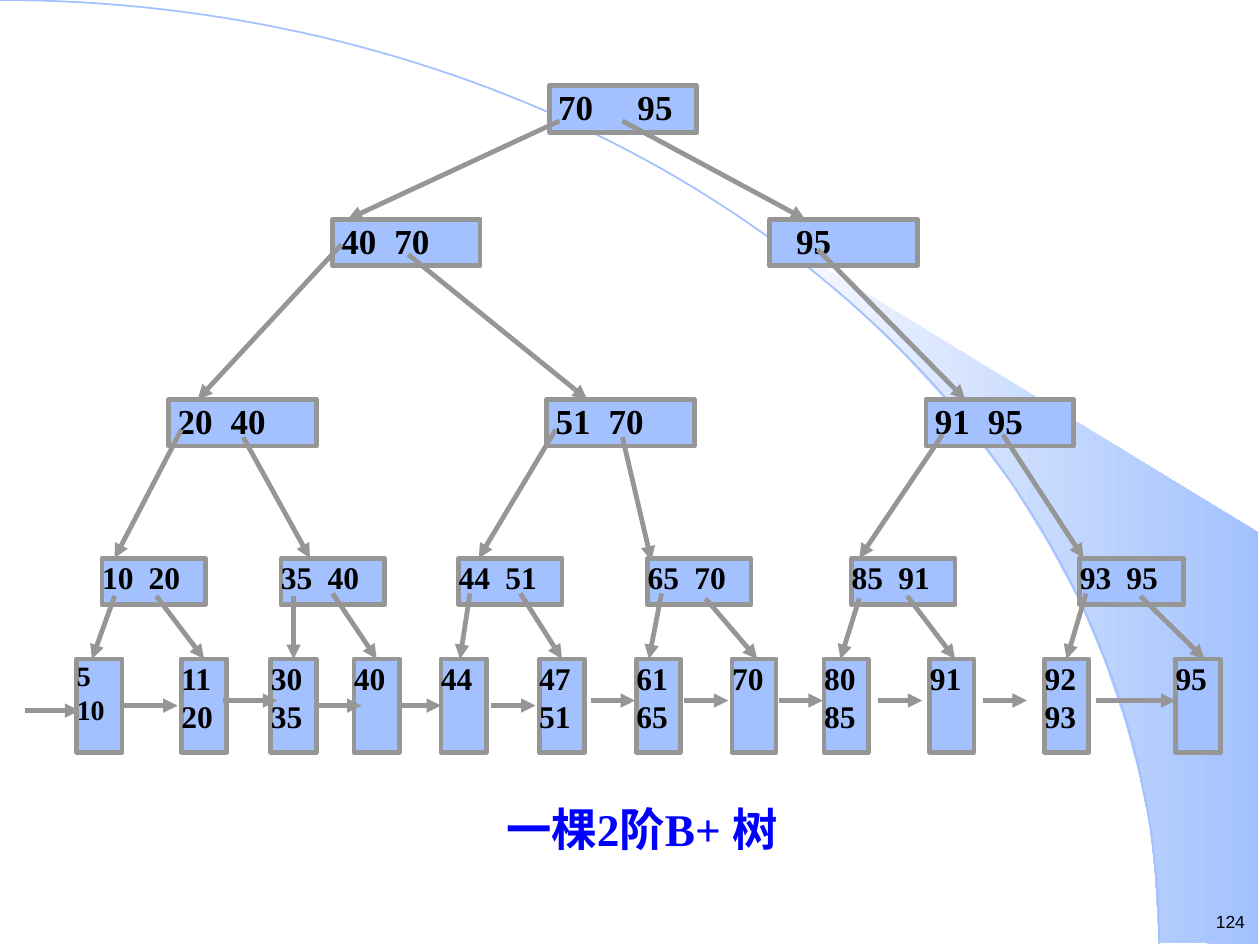
from dataclasses import dataclass
from math import cos, pi, sin

from lxml.etree import SubElement as Sub
from pptx import Presentation
from pptx.dml.color import RGBColor as Rgb
from pptx.enum.shapes import MSO_CONNECTOR as Conn, MSO_SHAPE as Kind
from pptx.enum.text import MSO_ANCHOR as Anchor, PP_ALIGN as Align
from pptx.oxml.ns import qn
from pptx.util import Pt

SCALE = 9144
NEAR = 2


@dataclass(frozen=True)
class Theme:
    fill: str = "A2C1FE"
    edge: str = "969696"
    ink: str = "000000"
    blue: str = "0000FF"
    white: str = "FFFFFF"
    serif: str = "Times New Roman"
    sans: str = "Arial"
    line: float = 2.75
    thin: float = 1
    big: float = 20
    mid: float = 18
    small: float = 16
    title: float = 25.9
    page: float = 10


def px(num):
    return round(num * SCALE)


class Deck:
    def __init__(self, theme, wide, high):
        self.theme = theme
        self.deck = Presentation()
        self.deck.slide_width = px(wide)
        self.deck.slide_height = px(high)
        self.slide = self.deck.slides.add_slide(self.deck.slide_layouts[6])
        self.shapes = self.slide.shapes
        self.sites = []

    def stroke(self, line, color, width):
        line.color.rgb = Rgb.from_string(color)
        line.width = Pt(width)

    def letter(self, shape, rows, size, font, color, align,
               bold=True, pad=(0, 0), tab=0):
        frame = shape.text_frame
        frame.word_wrap = True
        frame.vertical_anchor = Anchor.TOP
        frame.margin_left, frame.margin_top = px(pad[0]), px(pad[1])
        frame.margin_right, frame.margin_bottom = px(pad[0]), px(pad[1])
        for i, row in enumerate(rows):
            para = frame.add_paragraph() if i else frame.paragraphs[0]
            para.alignment = align
            if tab:
                tabs = Sub(para._p.get_or_add_pPr(), qn("a:tabLst"))
                Sub(tabs, qn("a:tab"), pos=str(px(tab)), algn="l")
            run = para.add_run()
            run.text = row
            run.font.name = font
            run.font.size = Pt(size)
            run.font.bold = bold
            run.font.color.rgb = Rgb.from_string(color)

    def label(self, x, y, w, h, text, size, font, color, align, **more):
        box = self.shapes.add_textbox(px(x), px(y), px(w), px(h))
        self.letter(box, [text], size, font, color, align, **more)
        return box

    def node(self, x, y, w, h, rows, size, pad=0, tab=0):
        t = self.theme
        box = self.shapes.add_shape(Kind.RECTANGLE, px(x), px(y), px(w), px(h))
        box.shadow.inherit = False
        box.fill.solid()
        box.fill.fore_color.rgb = Rgb.from_string(t.fill)
        self.stroke(box.line, t.edge, t.line)
        self.letter(box, rows, size, t.serif, t.ink, Align.JUSTIFY,
                    pad=(pad, 0), tab=tab)
        spots = ((x + w / 2, y), (x, y + h / 2),
                 (x + w / 2, y + h), (x + w, y + h / 2))
        self.sites += [(box, i, *spot) for i, spot in enumerate(spots)]

    def join(self, link, x, y):
        for box, i, left, top in self.sites:
            if abs(left - x) <= NEAR and abs(top - y) <= NEAR:
                link(box, i)
                return

    def arrow(self, x, y, to_x, to_y):
        t = self.theme
        line = self.shapes.add_connector(
            Conn.STRAIGHT, px(x), px(y), px(to_x), px(to_y))
        self.stroke(line.line, t.edge, t.line)
        Sub(line.line._get_or_add_ln(), qn("a:tailEnd"), type="triangle")
        Sub(line._element.spPr, qn("a:effectLst"))
        self.join(line.begin_connect, x, y)
        self.join(line.end_connect, to_x, to_y)

    def outline(self, dots, close):
        dots = [(px(x), px(y)) for x, y in dots]
        pen = self.shapes.build_freeform(*dots[0], scale=1.0)
        pen.add_line_segments(dots[1:], close=close)
        shape = pen.convert_to_shape()
        shape.shadow.inherit = False
        return shape

    def wedge(self, dots):
        shape = self.outline(dots, True)
        shape.line.fill.background()
        shape.fill.gradient()
        shape.fill.gradient_angle = 0
        stops = shape.fill.gradient_stops
        for i, color in enumerate((self.theme.white, self.theme.fill)):
            stops[i].position = i
            stops[i].color.rgb = Rgb.from_string(color)

    def arc(self, wide, high, steps=90):
        turns = [i * pi / 2 / steps for i in range(steps + 1)]
        dots = [(wide * sin(a), high * (1 - cos(a))) for a in turns]
        shape = self.outline(dots, False)
        shape.fill.background()
        self.stroke(shape.line, self.theme.fill, self.theme.thin)


WEDGE = [(920, 748), (999, 749), (999, 423), (589, 173), (624, 199),
         (653, 222), (685, 250), (716, 280), (762, 330), (803, 384),
         (832, 431), (858, 479), (878, 528), (893, 572), (903, 609),
         (913, 656), (917, 696)]

UPPER = [(436, 68, "70\t95", 7, 63), (264, 174, "40\t70", 7, 42),
         (611, 174, "95", 21, 0), (134, 317, "20\t40", 7, 42),
         (434, 317, "51\t70", 7, 42), (735, 317, "91\t95", 7, 42)]

LOWER = [(81, "10\t20"), (223, "35\t40"), (364, "44\t51"),
         (514, "65\t70"), (676, "85\t91"), (857, "93\t95")]

LEAVES = [(61, 36, "5 10"), (144, 36, "11 20"), (215, 36, "30 35"),
          (281, 36, "40"), (350, 36, "44"), (428, 36, "47 51"),
          (505, 35, "61 65"), (581, 35, "70"), (654, 35, "80 85"),
          (738, 35, "91"), (829, 35, "92 93"), (933, 36, "95")]

BRANCHES = [(444, 96, 276, 174), (494, 96, 639, 174), (271, 194, 157, 317),
            (324, 202, 466, 317), (649, 198, 766, 317), (144, 341, 91, 443),
            (193, 347, 246, 443), (441, 341, 380, 443), (494, 347, 517, 445),
            (748, 345, 682, 443), (796, 345, 860, 443)]

DROPS = [(91, 473, 73), (124, 473, 162), (233, 473, 233), (264, 471, 297),
         (373, 471, 365), (413, 471, 446), (525, 471, 515), (560, 475, 601),
         (682, 475, 667), (720, 473, 758), (862, 471, 847), (905, 473, 956)]

CHAIN = [(20, 564, 43), (98, 560, 43), (177, 556, 43), (252, 560, 35),
         (315, 560, 35), (390, 560, 35), (469, 556, 35), (543, 556, 35),
         (618, 556, 35), (697, 556, 35), (780, 556, 35), (870, 556, 63)]


def main():
    t = Theme()
    deck = Deck(t, 1000, 750)
    deck.wedge(WEDGE)
    deck.arc(920, 749)
    deck.label(941, 718, 49, 27, "124", t.page, t.sans, t.ink, Align.RIGHT,
               bold=False, pad=(2, 5))
    title = deck.label(47, 643, 925, 43, "一棵2阶B+ 树", t.title, t.serif,
                       t.blue, Align.CENTER, pad=(10, 5))
    title.text_frame.paragraphs[0].line_spacing = 0.7
    for x, y, text, pad, tab in UPPER:
        deck.node(x, y, 117, 37, [text], t.big, pad, tab)
    for x, text in LOWER:
        deck.node(x, 443, 82, 37, [text], t.mid, tab=37)
    for i, (x, wide, keys) in enumerate(LEAVES):
        deck.node(x, 523, wide, 74, keys.split(), t.mid if i else t.small)
    for ends in BRANCHES:
        deck.arrow(*ends)
    for x, y, to_x in DROPS:
        deck.arrow(x, y, to_x, 523)
    for x, y, wide in CHAIN:
        deck.arrow(x, y, x + wide, y)
    deck.deck.save("out.pptx")


if __name__ == "__main__":
    main()
